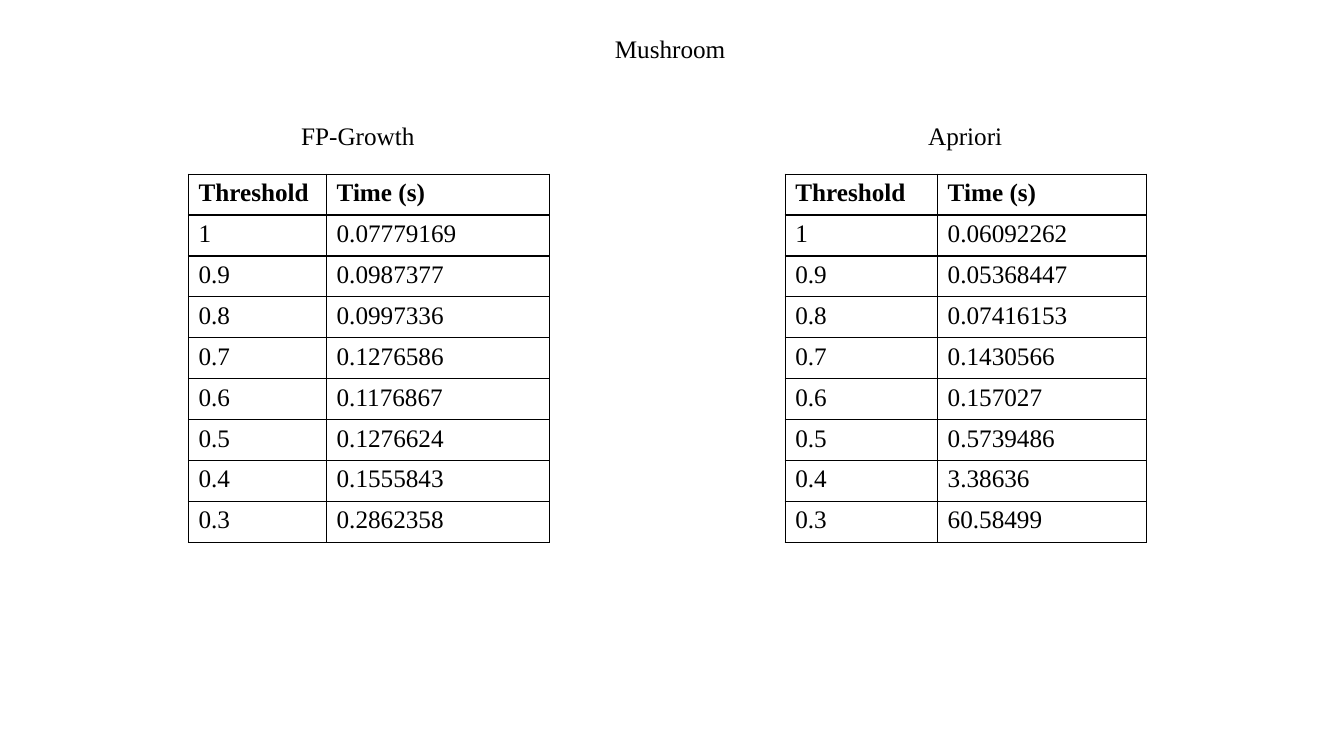
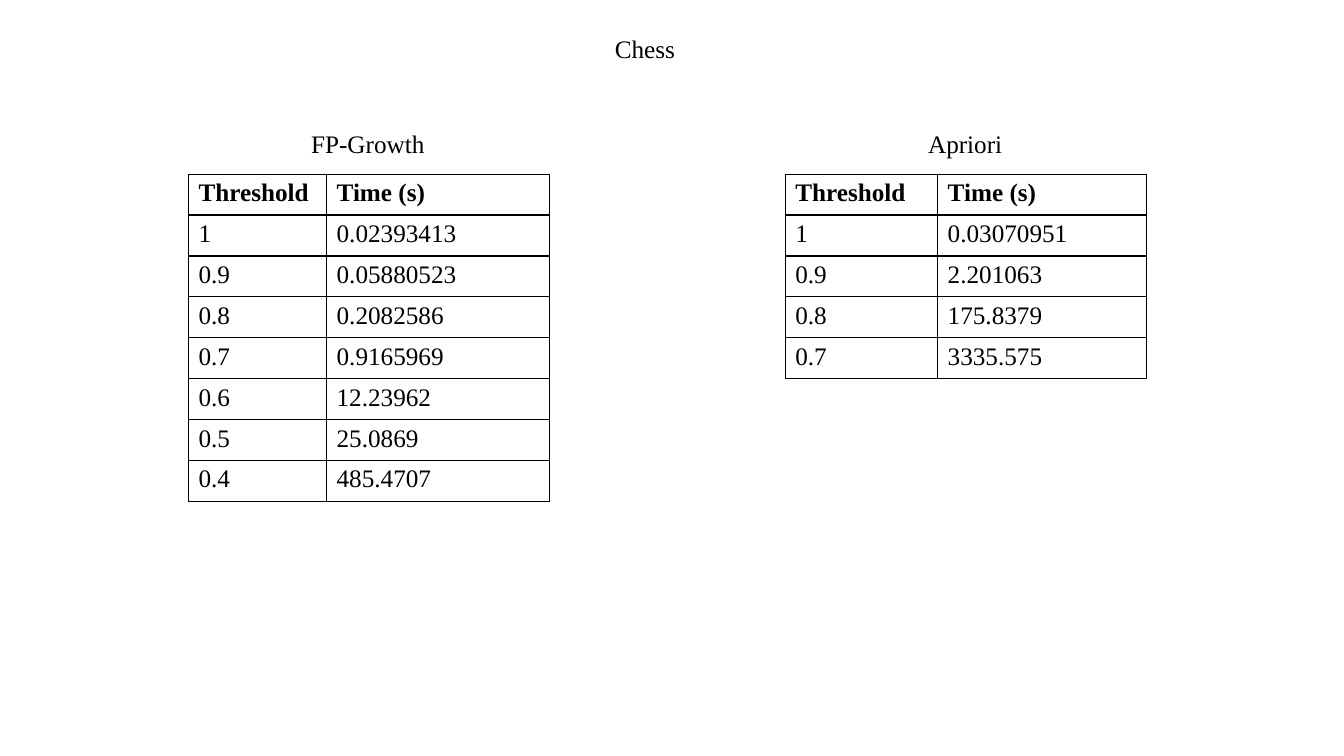
from dataclasses import dataclass
from lxml import etree
from pptx import Presentation
from pptx import util as u
from pptx.dml.color import RGBColor
from pptx.enum import text
from pptx.oxml import ns

# Content: run times, for thresholds falling from 1 in steps of 0.1
HEADERS = ("Threshold ", "Time (s)")
DATASETS = [
    {"title": "Mushroom", "title_width": 3.38, "label_top": 2.9, "times": {
        "FP-Growth": ("0.07779169", "0.0987377", "0.0997336", "0.1276586",
                      "0.1176867", "0.1276624", "0.1555843", "0.2862358"),
        "Apriori": ("0.06092262", "0.05368447", "0.07416153", "0.1430566",
                    "0.157027", "0.5739486", "3.38636", "60.58499")},
     "label_left": {"FP-Growth": 7.34, "Apriori": 23.14}},
    {"title": "Chess", "title_width": 2.06, "label_top": 3.1, "times": {
        "FP-Growth": ("0.02393413", "0.05880523", "0.2082586", "0.9165969",
                      "12.23962", "25.0869", "485.4707"),
        "Apriori": ("0.03070951", "2.201063", "175.8379", "3335.575")},
     "label_left": {"FP-Growth": 7.59, "Apriori": 23.14}},
]


@dataclass(frozen=True)
class Theme:
    font: str = "Times New Roman"
    size: int = 18
    ink: str = "000000"
    paper: str = "FFFFFF"
    border: int = 1


THEME = Theme()

# Layout in centimetres
TITLE_LEFT, TITLE_TOP, LINE_HEIGHT = 15.24, 0.71, 1.03
TABLE_TOP, ROW_HEIGHT = 4.39, 1.03
PANELS = {
    "FP-Growth": {"left": 4.75, "columns": (3.48, 5.61), "label_width": 3.4},
    "Apriori": {"left": 19.79, "columns": (3.84, 5.26), "label_width": 2.41},
}


def write(frame, words, bold=False):
    paragraph = frame.paragraphs[0]
    paragraph.alignment = text.PP_ALIGN.LEFT
    run = paragraph.add_run()
    run.text = words
    run.font.name = THEME.font
    run.font.size = u.Pt(THEME.size)
    run.font.bold = bold
    run.font.color.rgb = RGBColor.from_string(THEME.ink)


def set_heading(heading, words, left, top, width):
    heading.left, heading.top = u.Cm(left), u.Cm(top)
    heading.width, heading.height = u.Cm(width), u.Cm(LINE_HEIGHT)
    frame = heading.text_frame
    frame.word_wrap = False
    frame.auto_size = text.MSO_AUTO_SIZE.SHAPE_TO_FIT_TEXT
    frame.vertical_anchor = text.MSO_ANCHOR.TOP
    write(frame, words)
    frame.paragraphs[0].line_spacing = 1.0
    frame.paragraphs[0].space_before = u.Pt(0)


def style_cell(cell):
    properties = cell._tc.get_or_add_tcPr()
    for side in ("a:lnL", "a:lnR", "a:lnT", "a:lnB"):
        line = etree.SubElement(properties, ns.qn(side), w=str(u.Pt(THEME.border)))
        fill = etree.SubElement(line, ns.qn("a:solidFill"))
        etree.SubElement(fill, ns.qn("a:srgbClr"), val=THEME.ink)
    cell.fill.solid()
    cell.fill.fore_color.rgb = RGBColor.from_string(THEME.paper)


def add_times(slide, panel, times):
    rows = [HEADERS] + [(f"{(10 - step) / 10:g}", time)
                        for step, time in enumerate(times)]
    table = slide.shapes.add_table(
        len(rows), len(HEADERS), u.Cm(panel["left"]), u.Cm(TABLE_TOP),
        u.Cm(sum(panel["columns"])), u.Cm(ROW_HEIGHT * len(rows))).table
    table.horz_banding = False
    for column, width in zip(table.columns, panel["columns"]):
        column.width = u.Cm(width)
    for r, row in enumerate(rows):
        table.rows[r].height = u.Cm(ROW_HEIGHT)
        for c, words in enumerate(row):
            cell = table.cell(r, c)
            style_cell(cell)
            write(cell.text_frame, words, bold=r == 0)


# Build one slide for each dataset
deck = Presentation()
deck.slide_width, deck.slide_height = u.Cm(33.87), u.Cm(19.05)
title_only = deck.slide_layouts[5]
for dataset in DATASETS:
    slide = deck.slides.add_slide(title_only)
    set_heading(slide.shapes.title, dataset["title"], TITLE_LEFT, TITLE_TOP,
                dataset["title_width"])
    for method, times in dataset["times"].items():
        panel = PANELS[method]
        add_times(slide, panel, times)
        label = slide.shapes.add_textbox(0, 0, 0, 0)
        set_heading(label, method, dataset["label_left"][method],
                    dataset["label_top"], panel["label_width"])

deck.save("out.pptx")
